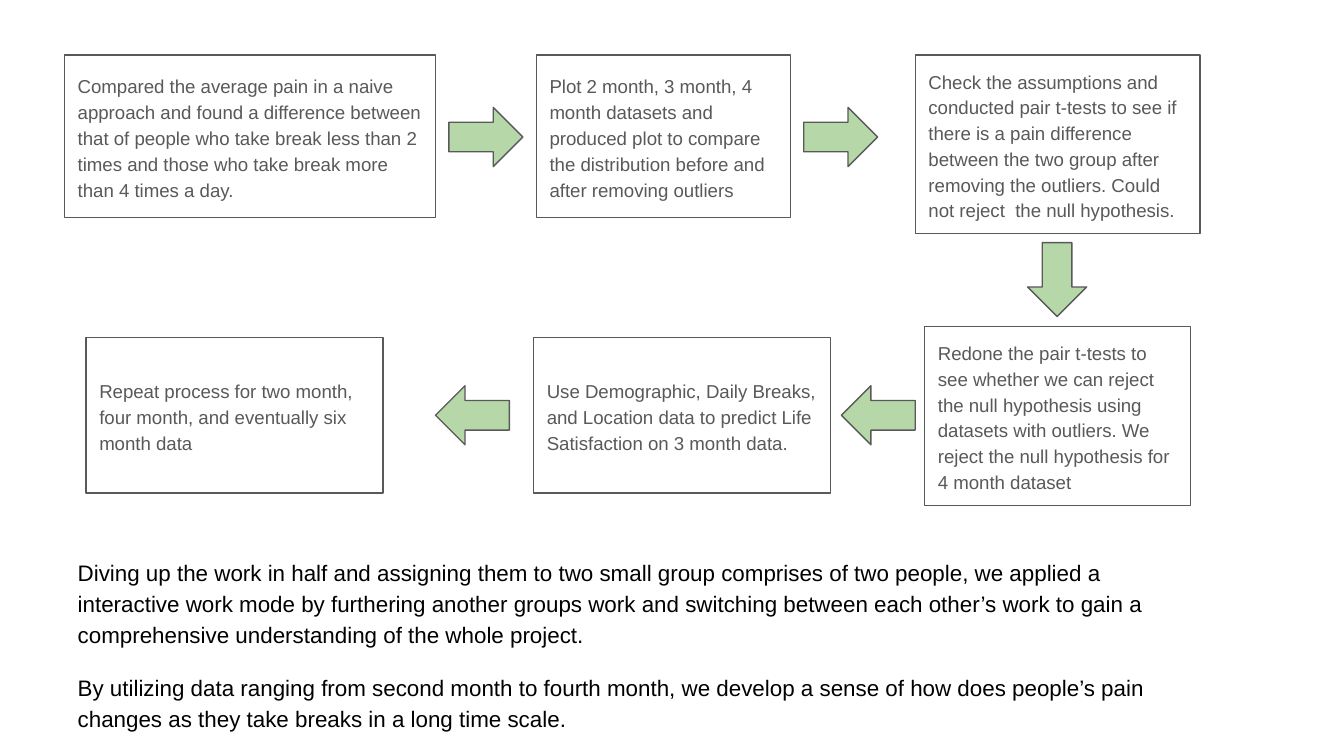
from pptx import Presentation
from pptx.dml.color import RGBColor
from pptx.enum.shapes import MSO_SHAPE
from pptx.enum.text import MSO_ANCHOR, PP_ALIGN
from pptx.util import Inches, Pt

RECT, ARROW = MSO_SHAPE.RECTANGLE, MSO_SHAPE.RIGHT_ARROW
TOP, MIDDLE = MSO_ANCHOR.TOP, MSO_ANCHOR.MIDDLE
LEFT = PP_ALIGN.LEFT
BLANK_LAYOUT = 6


class Theme:
    font = "Arial"
    step_size, summary_size = Pt(10), Pt(12)
    gray = RGBColor(0x59, 0x59, 0x59)
    black = RGBColor(0, 0, 0)
    white = RGBColor(0xFF, 0xFF, 0xFF)
    green = RGBColor(0xB6, 0xD7, 0xA8)
    line_width = Pt(0.75)
    spacing = 1.15
    gap = Pt(12)


def write_text(frame, paragraphs, *, size, color, anchor):
    frame.word_wrap = True
    frame.vertical_anchor = anchor
    frame.margin_left = frame.margin_right = Inches(0.1)
    frame.margin_top = frame.margin_bottom = Inches(0.1)
    for i, text in enumerate(paragraphs):
        paragraph = frame.add_paragraph() if i else frame.paragraphs[0]
        paragraph.alignment = LEFT
        paragraph.line_spacing = Theme.spacing
        paragraph.space_before = Theme.gap if i else Pt(0)
        paragraph.space_after = Theme.gap if i == len(paragraphs) - 1 else Pt(0)
        run = paragraph.add_run()
        run.text = text
        run.font.name = Theme.font
        run.font.size = size
        run.font.color.rgb = color


def add_outlined(slide, kind, left, top, width, height, fill):
    shape = slide.shapes.add_shape(
        kind, Inches(left), Inches(top), Inches(width), Inches(height))
    shape.shadow.inherit = False
    shape.fill.solid()
    shape.fill.fore_color.rgb = fill
    shape.line.color.rgb = Theme.gray
    shape.line.width = Theme.line_width
    return shape


# Widescreen slide, 16:9
prs = Presentation()
prs.slide_width, prs.slide_height = Inches(10), Inches(10 * 9 / 16)
slide = prs.slides.add_slide(prs.slide_layouts[BLANK_LAYOUT])

# Process steps in order: left, top, width, height, text
steps = [
    (0.48, 0.41, 2.76, 1.21,
     "Compared the average pain in a naive approach and found a difference "
     "between that of people who take break less than 2 times and those who "
     "take break more than 4 times a day."),
    (3.99, 0.41, 1.89, 1.21,
     "Plot 2 month, 3 month, 4 month datasets and produced plot to compare "
     "the distribution before and after removing outliers"),
    (6.81, 0.41, 2.12, 1.33,
     "Check the assumptions and conducted pair t-tests to see if there is a "
     "pain difference between the two group after removing the outliers. "
     "Could not reject  the null hypothesis."),
    (6.88, 2.43, 1.98, 1.33,
     "Redone the pair t-tests to see whether we can reject the null "
     "hypothesis using datasets with outliers. We reject the null hypothesis "
     "for 4 month dataset"),
    (3.97, 2.51, 2.21, 1.16,
     "Use Demographic, Daily Breaks, and Location data to predict Life "
     "Satisfaction on 3 month data."),
    (0.64, 2.51, 2.21, 1.16,
     "Repeat process for two month, four month, and eventually six month data"),
]
for left, top, width, height, text in steps:
    step = add_outlined(slide, RECT, left, top, width, height, Theme.white)
    write_text(step.text_frame, [text], size=Theme.step_size,
               color=Theme.gray, anchor=MIDDLE)

# Flow arrows between the steps: left, top, rotation
flow = [(3.34, 0.8, 0), (5.98, 0.8, 0), (7.59, 1.86, 90),
        (6.26, 2.87, 180), (3.24, 2.87, 180)]
for left, top, rotation in flow:
    arrow = add_outlined(slide, ARROW, left, top, 0.55, 0.44, Theme.green)
    arrow.rotation = rotation

# Summary of the way of working
summary = slide.shapes.add_textbox(
    Inches(0.48), Inches(4.03), Inches(8.54), Inches(1.5))
write_text(summary.text_frame, [
    "Diving up the work in half and assigning them to two small group "
    "comprises of two people, we applied a interactive work mode by "
    "furthering another groups work and switching between each other’s work "
    "to gain a comprehensive understanding of the whole project.",
    "By utilizing data ranging from second month to fourth month, we develop "
    "a sense of how does people’s pain changes as they take breaks in a long "
    "time scale.",
], size=Theme.summary_size, color=Theme.black, anchor=TOP)

prs.save("out.pptx")
